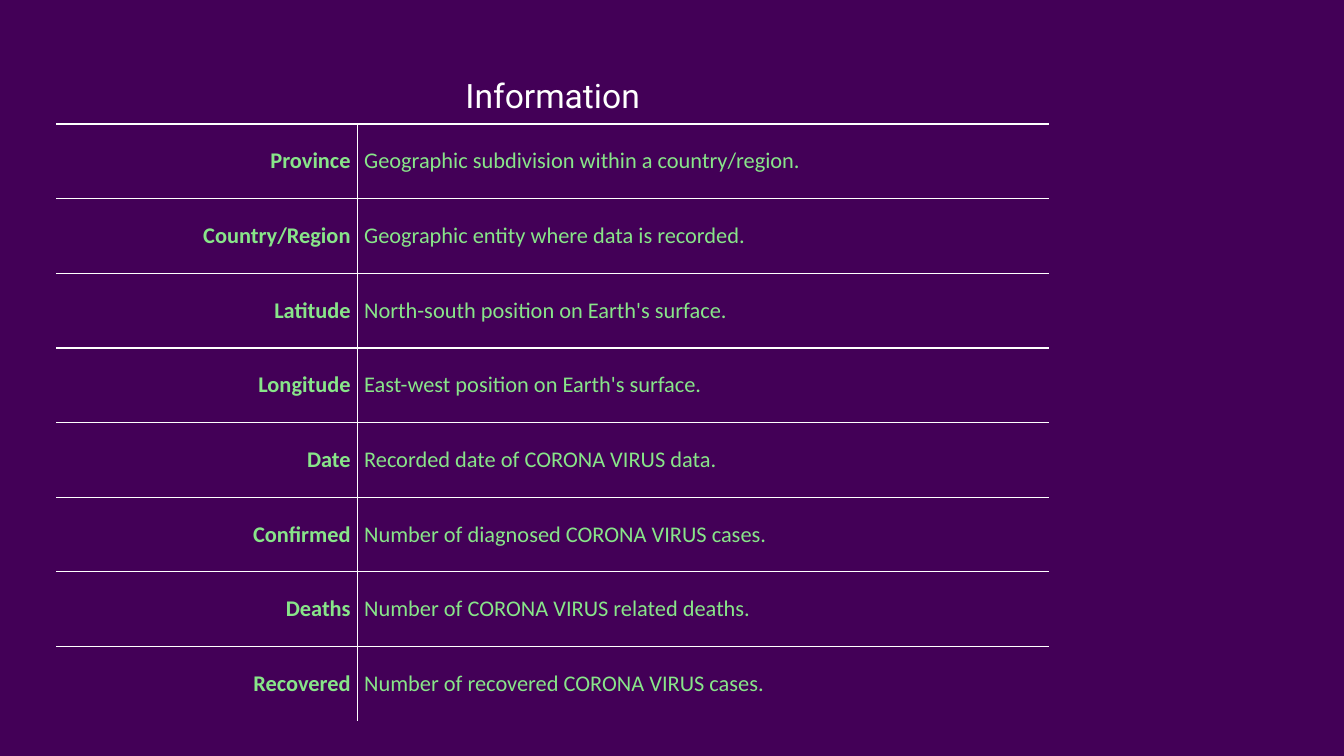
"""Build a slide with a table that describes the fields of a data set."""
import lxml.etree
import pptx
import pptx.dml.color
import pptx.enum.text
import pptx.oxml.ns
import pptx.util

Pt = pptx.util.Pt
ALIGN = pptx.enum.text.PP_ALIGN
ANCHOR = pptx.enum.text.MSO_ANCHOR

TITLE = "Information"
FIELDS = [
    ("Province", "Geographic subdivision within a country/region."),
    ("Country/Region", "Geographic entity where data is recorded."),
    ("Latitude", "North-south position on Earth's surface."),
    ("Longitude", "East-west position on Earth's surface."),
    ("Date", "Recorded date of CORONA VIRUS data."),
    ("Confirmed", "Number of diagnosed CORONA VIRUS cases."),
    ("Deaths", "Number of CORONA VIRUS related deaths."),
    ("Recovered", "Number of recovered CORONA VIRUS cases."),
]
BACKGROUND, WHITE, GREEN = "430057", "FFFFFF", "88E589"
LEFT, TOP = 30.2, 34.5
COLUMN_WIDTHS = [161.3, 370.6]
TITLE_HEIGHT, FIELD_HEIGHT = 31.9, 40
INSET, LINE_WIDTH = 3.6, 0.75

TITLE_FONT = {"name": "Roboto", "size": Pt(18), "bold": False}
NAME_FONT = {"name": "Calibri", "size": Pt(12), "bold": True}
MEANING_FONT = {**NAME_FONT, "bold": False}


def rgb(value):
    return pptx.dml.color.RGBColor.from_string(value)


def set_attributes(target, values):
    for name, value in values.items():
        setattr(target, name, value)


def draw_borders(cell, visible):
    properties = cell._tc.get_or_add_tcPr()
    qn = pptx.oxml.ns.qn
    for index, side in enumerate("LRTB"):
        line = lxml.etree.Element(qn(f"a:ln{side}"), w=str(Pt(LINE_WIDTH)))
        if side in visible:
            fill = lxml.etree.SubElement(line, qn("a:solidFill"))
            lxml.etree.SubElement(fill, qn("a:srgbClr"), val=WHITE)
        else:
            lxml.etree.SubElement(line, qn("a:noFill"))
        properties.insert(index, line)


def fill_cell(cell, text, font, color, alignment, anchor, borders):
    margins = {f"margin_{side}": Pt(INSET) for side in ("left", "right", "top", "bottom")}
    set_attributes(cell, {"text": text, "vertical_anchor": anchor, **margins})
    cell.fill.background()
    draw_borders(cell, borders)
    paragraph = cell.text_frame.paragraphs[0]
    paragraph.alignment = alignment
    run = paragraph.runs[0]
    set_attributes(run.font, font)
    run.font.color.rgb = rgb(color)


def add_field_table(slide):
    heights = [TITLE_HEIGHT] + [FIELD_HEIGHT] * len(FIELDS)
    frame = slide.shapes.add_table(
        len(heights), len(COLUMN_WIDTHS), Pt(LEFT), Pt(TOP),
        Pt(sum(COLUMN_WIDTHS)), Pt(sum(heights)))
    table = frame.table
    set_attributes(table, {"first_row": False, "horz_banding": False})
    for column, width in zip(table.columns, COLUMN_WIDTHS):
        column.width = Pt(width)
    for row, height in zip(table.rows, heights):
        row.height = Pt(height)

    title_cell = table.cell(0, 0)
    title_cell.merge(table.cell(0, 1))
    fill_cell(title_cell, TITLE, TITLE_FONT, WHITE, ALIGN.CENTER, ANCHOR.BOTTOM, "B")
    draw_borders(table.cell(0, 1), "B")
    for index, (name, meaning) in enumerate(FIELDS, start=1):
        edges = "T" if index == len(FIELDS) else "TB"
        fill_cell(table.cell(index, 0), name, NAME_FONT, GREEN,
                  ALIGN.RIGHT, ANCHOR.MIDDLE, edges + "R")
        fill_cell(table.cell(index, 1), meaning, MEANING_FONT, GREEN,
                  ALIGN.LEFT, ANCHOR.MIDDLE, edges + "L")


def main():
    presentation = pptx.Presentation()
    set_attributes(presentation, {"slide_width": Pt(720), "slide_height": Pt(405)})
    slide = presentation.slides.add_slide(presentation.slide_layouts[6])
    slide.background.fill.solid()
    slide.background.fill.fore_color.rgb = rgb(BACKGROUND)
    add_field_table(slide)
    presentation.save("out.pptx")


if __name__ == "__main__":
    main()
